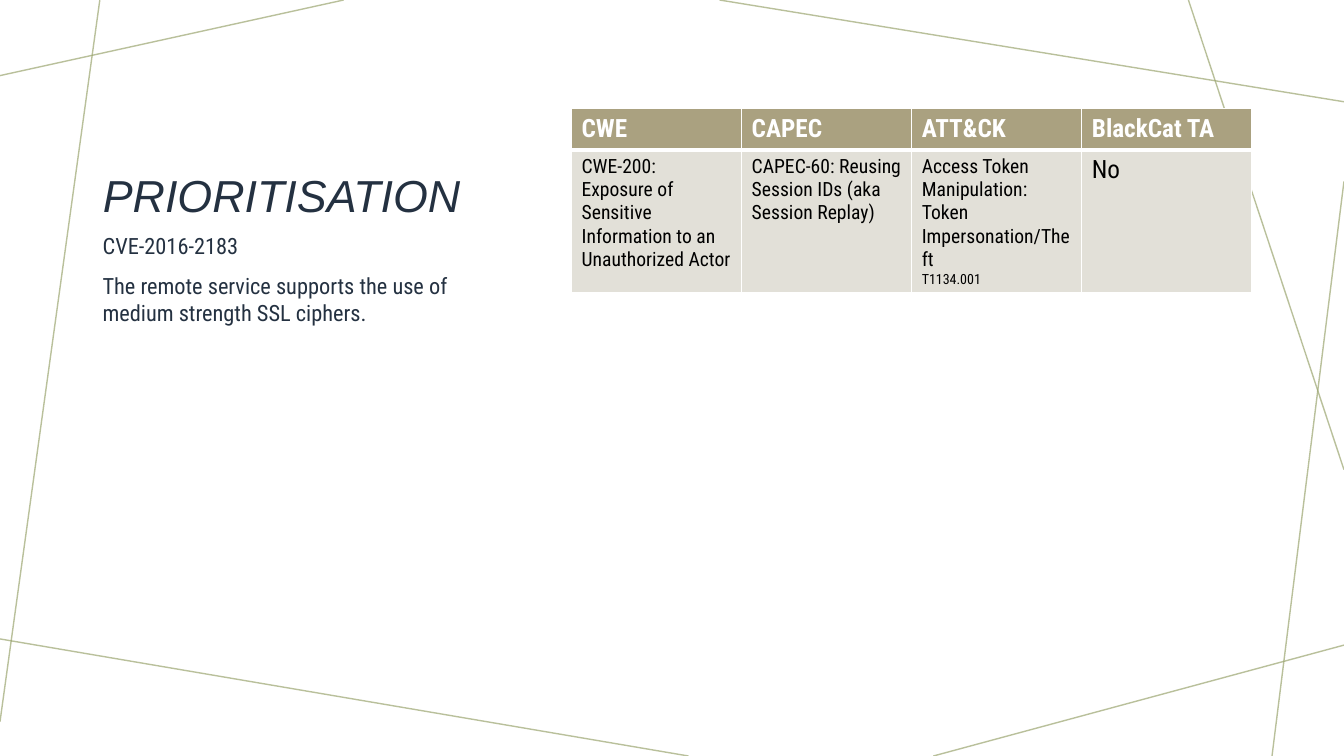
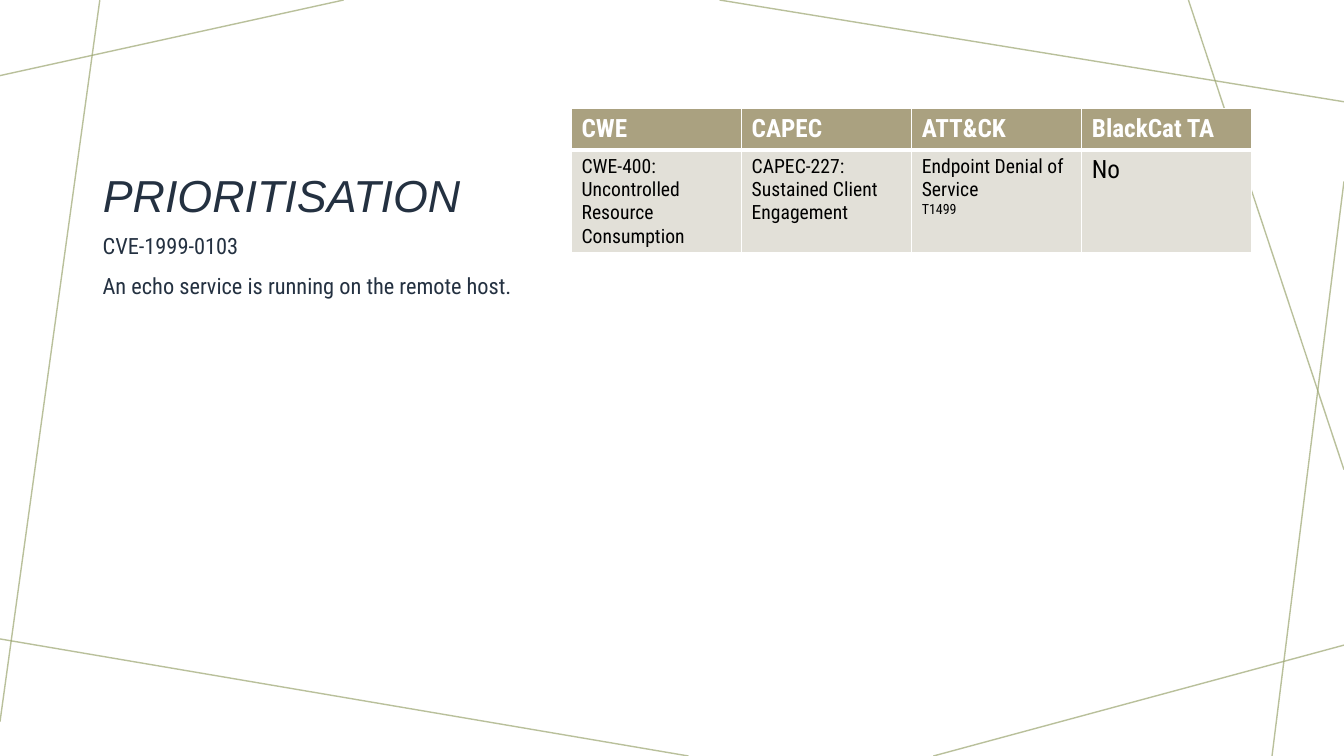
import pptx
import pptx.util
import pptx.dml.color
import pptx.enum.shapes
import pptx.enum.text
import pptx.oxml
import pptx.oxml.ns
import lxml.etree
from dataclasses import dataclass

Pt = pptx.util.Pt

# Content: title, notes on the flaw, table row (each cell: text and size of its lines)
TITLE = "PRIORITISATION"
HEADS = ["CWE", "CAPEC", "ATT&CK", "BlackCat TA"]
PAGES = [
    {
        "notes": ["CVE-2016-2183",
                  "The remote service supports the use of medium strength SSL ciphers."],
        "row": [
            [("CWE-200: Exposure of Sensitive Information to an Unauthorized Actor", "cell")],
            [("CAPEC-60: Reusing Session IDs (aka Session Replay)", "cell")],
            [("Access Token Manipulation: Token Impersonation/Theft", "cell"),
             ("T1134.001", "code")],
            [("No", "head")],
        ],
    },
    {
        "notes": ["CVE-1999-0103",
                  "An echo service is running on the remote host."],
        "row": [
            [("CWE-400: Uncontrolled Resource Consumption", "cell")],
            [("CAPEC-227: Sustained Client Engagement", "cell")],
            [("Endpoint Denial of Service", "cell"), ("T1499", "code")],
            [("No", "head")],
        ],
    },
]


# Look
@dataclass
class Theme:
    ink: str = "243141"
    black: str = "000000"
    white: str = "FFFFFF"
    line: str = "9CA671"
    band: str = "AAA180"
    pale: str = "E2E0D8"
    serif: str = "Arial"
    sans: str = "Roboto Condensed"


LOOK = Theme()
SIZES = {"title": 32, "head": 18, "note": 16, "cell": 14, "code": 10}

# Places, in points
WIDE, HIGH = 960, 540
LEFT, TEXT_W = 66.24, 309.6
TITLE_TOP, TITLE_H = 36, 126
NOTE_H = 300.24
GRID_X, GRID_Y, GRID_W, ROW_H = 408.24, 77.76, 486, 29.52
LINES = [
    (245.5, 0, 0, 54),
    (71.3, 0, 0, 515.5),
    (491.8, HIGH, 0, 456.4),
    (WIDE, 460.8, 666.7, HIGH),
    (WIDE, 129.6, 908.6, HIGH),
    (WIDE, 335.5, 848.9, 0),
    (WIDE, 72.7, 514, 0),
]


def tint(code):
    return pptx.dml.color.RGBColor.from_string(code)


def add_run(para, text, size, color, font=LOOK.sans, bold=False, slant=False):
    run = para.add_run()
    run.text = text
    run.font.size = Pt(SIZES[size])
    run.font.name = font
    run.font.color.rgb = tint(color)
    run.font.bold = bold
    run.font.italic = slant


def next_para(frame, index):
    return frame.paragraphs[0] if index == 0 else frame.add_paragraph()


# Thin crossing lines behind everything
def draw_lines(slide):
    for x1, y1, x2, y2 in LINES:
        line = slide.shapes.add_connector(
            pptx.enum.shapes.MSO_CONNECTOR.STRAIGHT, Pt(x1), Pt(y1), Pt(x2), Pt(y2))
        line.line.color.rgb = tint(LOOK.line)
        line.line.width = Pt(1)
        props = line._element.spPr
        color = props.find(".//" + pptx.oxml.ns.qn("a:srgbClr"))
        lxml.etree.SubElement(color, pptx.oxml.ns.qn("a:alpha"), val="70000")
        lxml.etree.SubElement(props, pptx.oxml.ns.qn("a:effectLst"))


def set_title(slide):
    title = slide.shapes.title
    title.left, title.top = Pt(LEFT), Pt(TITLE_TOP)
    title.width, title.height = Pt(TEXT_W), Pt(TITLE_H)
    frame = title.text_frame
    frame.word_wrap = True
    frame.vertical_anchor = pptx.enum.text.MSO_ANCHOR.BOTTOM
    para = frame.paragraphs[0]
    para.alignment = pptx.enum.text.PP_ALIGN.LEFT
    para.line_spacing = 0.9
    add_run(para, TITLE, "title", LOOK.ink, LOOK.serif, slant=True)


def add_notes(slide, notes):
    box = slide.shapes.add_textbox(
        Pt(LEFT), Pt(TITLE_TOP + TITLE_H), Pt(TEXT_W), Pt(NOTE_H))
    box.text_frame.word_wrap = True
    for index, note in enumerate(notes):
        para = next_para(box.text_frame, index)
        para.space_before = Pt(10)
        add_run(para, note, "note", LOOK.ink)


# Table: white rules, with a thick one below the heads
def set_rules(cell, top, base):
    props = cell._tc.get_or_add_tcPr()
    for side, width in (("L", 1), ("R", 1), ("T", top), ("B", base)):
        rule = lxml.etree.SubElement(
            props, pptx.oxml.ns.qn("a:ln" + side), w=str(Pt(width)))
        fill = lxml.etree.SubElement(rule, pptx.oxml.ns.qn("a:solidFill"))
        lxml.etree.SubElement(fill, pptx.oxml.ns.qn("a:srgbClr"), val=LOOK.white)


def add_grid(slide, row):
    rows = [[[(head, "head")] for head in HEADS], row]
    grid = slide.shapes.add_table(
        len(rows), len(HEADS), Pt(GRID_X), Pt(GRID_Y),
        Pt(GRID_W), Pt(ROW_H * len(rows))).table
    grid.horz_banding = False
    for r, cells in enumerate(rows):
        top = r == 0
        for c, texts in enumerate(cells):
            cell = grid.cell(r, c)
            set_rules(cell, 1 if top else 3, 3 if top else 1)
            cell.fill.solid()
            cell.fill.fore_color.rgb = tint(LOOK.band if top else LOOK.pale)
            for index, (text, size) in enumerate(texts):
                add_run(next_para(cell.text_frame, index), text, size,
                        LOOK.white if top else LOOK.black, bold=top)


# Build the deck
deck = pptx.Presentation()
deck.slide_width, deck.slide_height = Pt(WIDE), Pt(HIGH)
for page in PAGES:
    slide = deck.slides.add_slide(deck.slide_layouts[5])
    draw_lines(slide)
    set_title(slide)
    add_grid(slide, page["row"])
    add_notes(slide, page["notes"])
deck.save("out.pptx")
